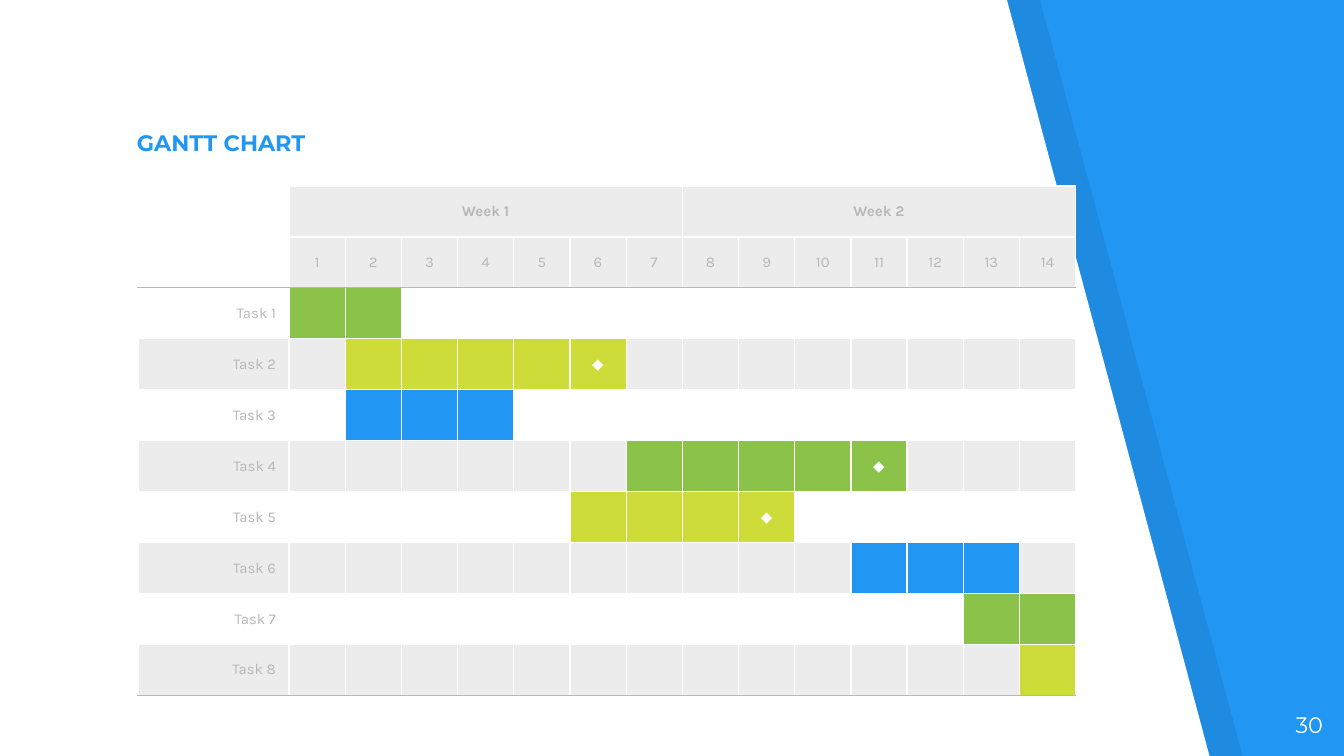
from lxml.etree import SubElement
from pptx import Presentation
from pptx.dml.color import RGBColor
from pptx.enum.text import MSO_ANCHOR, PP_ALIGN
from pptx.oxml.ns import qn
from pptx.util import Pt

PX = 914400 / 134.4
BLUE, GREEN, LIME = "2196F3", "8BC34A", "CDDC39"
WHITE, BLACK, PALE, GREY = "FFFFFF", "000000", "ECECEC", "B7B7B7"

TITLE = "GANTT CHART"
PAGE_NUMBER = "30"
WEEKS = ["Week 1", "Week 2"]
DAYS_PER_WEEK = 7
MILESTONE = "◆"
# name, first day, last day, colour, whether it ends in a milestone
TASKS = [
    ("Task 1", 1, 2, GREEN, False),
    ("Task 2", 2, 6, LIME, True),
    ("Task 3", 2, 4, BLUE, False),
    ("Task 4", 7, 11, GREEN, True),
    ("Task 5", 6, 9, LIME, True),
    ("Task 6", 11, 13, BLUE, False),
    ("Task 7", 13, 14, GREEN, False),
    ("Task 8", 14, 14, LIME, False),
]
# left, bottom right, top right, colour, opacity in percent
PANELS = [(34, 1243, 1040, BLACK, 7), (0, 1210, 1007, WHITE, 100)]

DAYS = len(WEEKS) * DAYS_PER_WEEK
HEADER_ROWS = 2
ROWS = HEADER_ROWS + len(TASKS)
TABLE_LEFT, TABLE_TOP = 138, 186
NAME_WIDTH, DAYS_WIDTH, ROW_HEIGHT = 151, 787, 51


def emu(px):
    return round(px * PX)


def color(value):
    return RGBColor.from_string(value)


def paint(fill, value):
    if value is None:
        fill.background()
    else:
        fill.solid()
        fill.fore_color.rgb = color(value)


def write(frame, text, font, size, ink, align, bold=False):
    para = frame.paragraphs[0]
    para.text = text
    para.alignment = align
    para.font.name = font
    para.font.size = Pt(size)
    para.font.bold = bold
    para.font.color.rgb = color(ink)


def set_margins(frame, px):
    frame.margin_left = frame.margin_right = emu(px)
    frame.margin_top = frame.margin_bottom = emu(px)


def place(shape, left, top, width, height):
    shape.left, shape.top = emu(left), emu(top)
    shape.width, shape.height = emu(width), emu(height)


def add_panel(page, left, bottom_right, top_right, fill, opacity):
    builder = page.shapes.build_freeform(left, -1, scale=PX)
    builder.add_line_segments([(left, 758), (bottom_right, 758), (top_right, 0)])
    panel = builder.convert_to_shape()
    panel.shadow.inherit = False
    panel.line.fill.background()
    paint(panel.fill, fill)
    if opacity < 100:
        tint = panel.fill._xPr.find(qn("a:solidFill"))[0]
        SubElement(tint, qn("a:alpha"), val=str(opacity * 1000))


def set_borders(cell, top, bottom):
    properties = cell._tc.get_or_add_tcPr()
    for side, ink in (("L", WHITE), ("R", WHITE), ("T", top), ("B", bottom)):
        line = SubElement(properties, qn(f"a:ln{side}"), w=str(Pt(0.75)))
        fill = SubElement(line, qn("a:solidFill"))
        SubElement(fill, qn("a:srgbClr"), val=ink)


def cell_content(row, column):
    """Return the text, text colour and fill of one table cell."""
    if row < HEADER_ROWS:
        if column == 0:
            return "", GREY, None
        if row == 1:
            return str(column), GREY, PALE
        week, day = divmod(column - 1, DAYS_PER_WEEK)
        return WEEKS[week] if day == 0 else "", GREY, PALE
    name, first, last, bar, milestone = TASKS[row - HEADER_ROWS]
    if first <= column <= last:
        return MILESTONE if milestone and column == last else "", WHITE, bar
    return name if column == 0 else "", GREY, PALE if row % 2 else None


def add_gantt(page):
    frame = page.shapes.add_table(
        ROWS, DAYS + 1, emu(TABLE_LEFT), emu(TABLE_TOP),
        emu(NAME_WIDTH + DAYS_WIDTH), emu(ROWS * ROW_HEIGHT))
    table = frame.table
    table.first_row = table.horz_banding = False
    for index, column in enumerate(table.columns):
        column.width = emu(DAYS_WIDTH / DAYS if index else NAME_WIDTH)
    for index, row in enumerate(table.rows):
        row.height = emu(ROW_HEIGHT)
        for number, cell in enumerate(row.cells):
            text, ink, fill = cell_content(index, number)
            set_borders(cell, GREY if index == HEADER_ROWS else WHITE,
                        GREY if index in (HEADER_ROWS - 1, ROWS - 1) else WHITE)
            paint(cell.fill, fill)
            cell.vertical_anchor = MSO_ANCHOR.MIDDLE
            cell.margin_left = cell.margin_right = emu(13)
            cell.margin_top = cell.margin_bottom = 0
            write(cell.text_frame, text, "Karla", 8, ink,
                  PP_ALIGN.CENTER if number else PP_ALIGN.RIGHT, bold=index == 0)
    for first in range(1, DAYS + 1, DAYS_PER_WEEK):
        table.cell(0, first).merge(table.cell(0, first + DAYS_PER_WEEK - 1))


def main():
    deck = Presentation()
    deck.slide_width, deck.slide_height = emu(1344), emu(756)
    page = deck.slides.add_slide(deck.slide_layouts[5])
    paint(page.background.fill, BLUE)
    for panel in PANELS:
        add_panel(page, *panel)

    title = page.shapes.title
    page.shapes._spTree.append(title._element)  # bring in front of the panels
    place(title, 124, 109, 706, 60)
    title.text_frame.vertical_anchor = MSO_ANCHOR.BOTTOM
    set_margins(title.text_frame, 13)
    write(title.text_frame, TITLE, "Montserrat", 12, BLUE, PP_ALIGN.LEFT, bold=True)

    number = page.shapes.add_textbox(emu(1255), emu(698), emu(81), emu(58))
    number.text_frame.word_wrap = True
    set_margins(number.text_frame, 13)
    write(number.text_frame, PAGE_NUMBER, "Montserrat", 12, WHITE, PP_ALIGN.RIGHT)

    add_gantt(page)
    deck.save("out.pptx")


if __name__ == "__main__":
    main()
